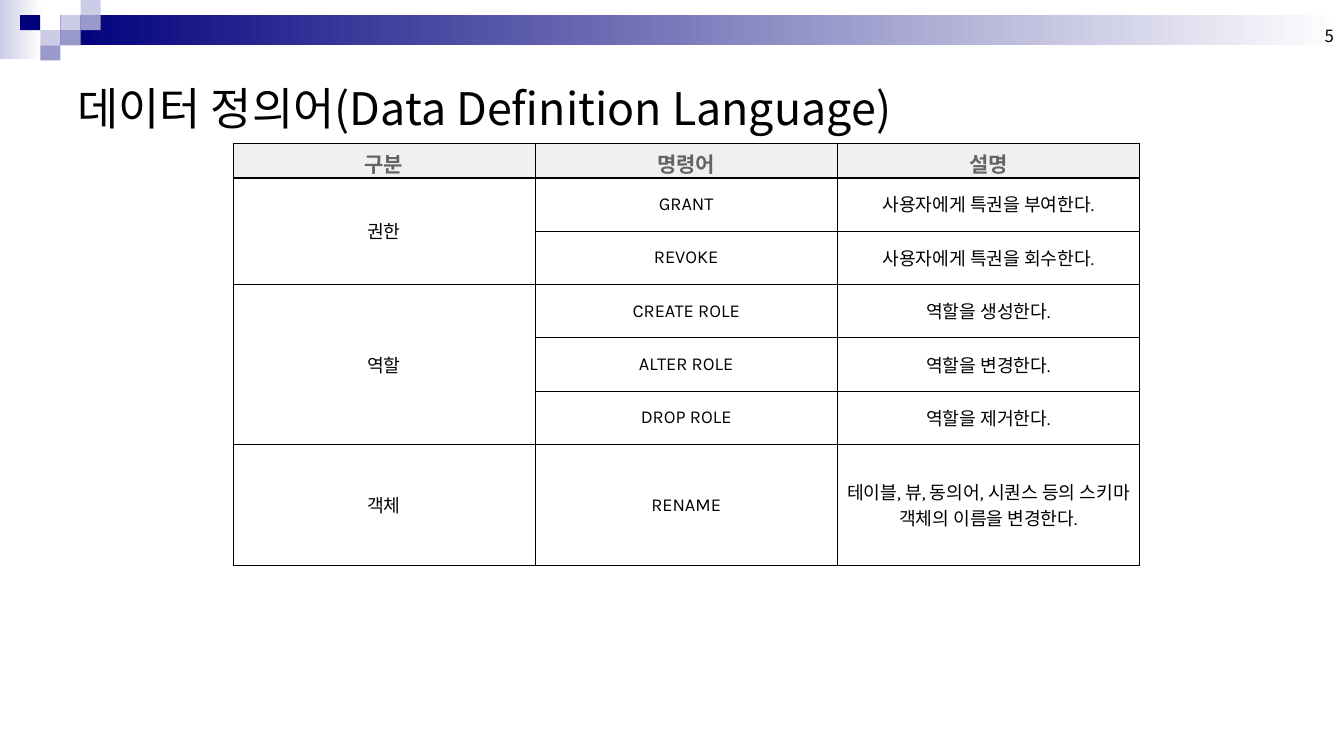
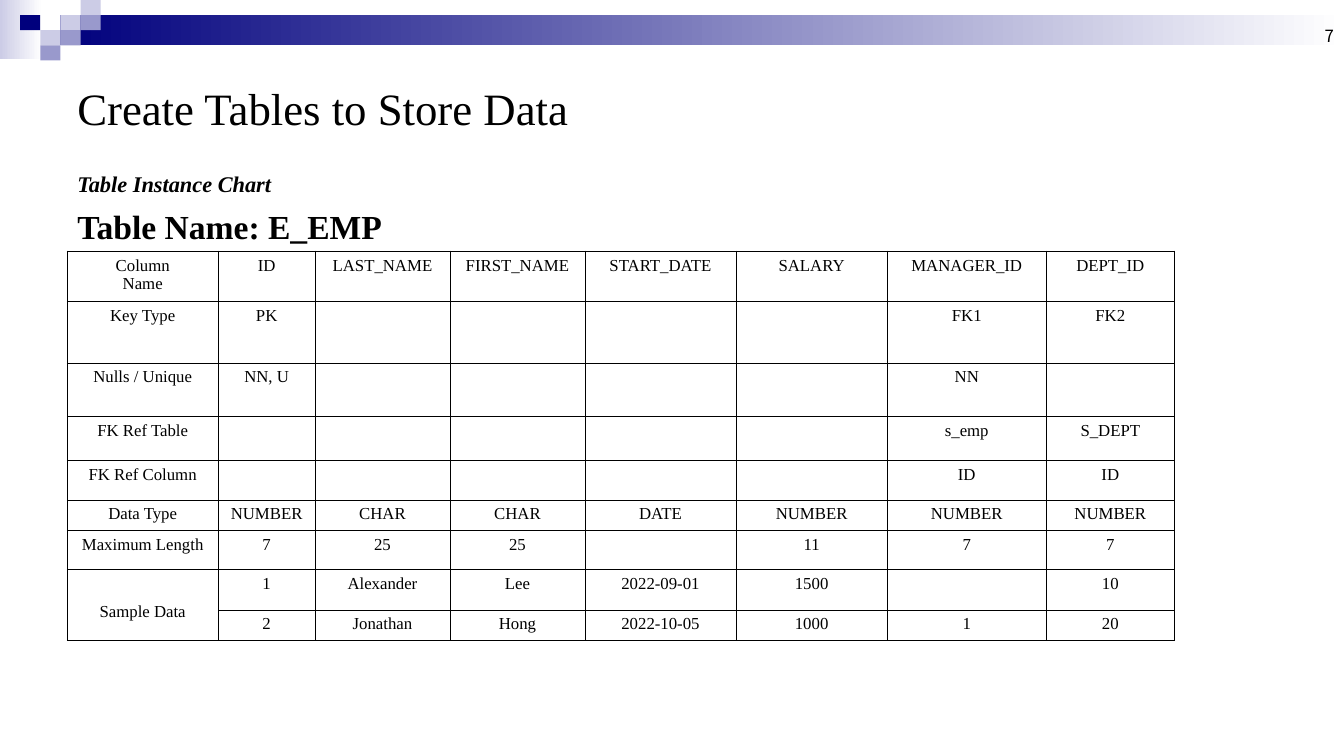
"""Build two slides on the SQL data definition language and a table instance chart."""
from dataclasses import dataclass

from lxml.etree import SubElement
from pptx import Presentation
from pptx.dml.color import RGBColor
from pptx.enum.shapes import MSO_SHAPE as Shape
from pptx.enum.text import MSO_ANCHOR as Anchor, MSO_AUTO_SIZE as AutoSize, PP_ALIGN as Align
from pptx.oxml.ns import qn
from pptx.util import Inches, Pt


@dataclass(frozen=True)
class Theme:
    navy: str = "00007D"
    violet: str = "9999CC"
    lilac: str = "CCCCE6"
    white: str = "FFFFFF"
    ink: str = "000000"
    header_ink: str = "646464"
    header_fill: str = "F0F0F0"
    hangul: str = "Noto Sans CJK KR"
    sans: str = "Karla"
    serif: str = "Times New Roman"
    title_size: int = 32
    name_size: int = 24
    caption_size: int = 16
    header_size: int = 15
    command_size: int = 13
    small_size: int = 12


theme = Theme()
WIDTH, HEIGHT = 13.34, 7.5
MARGIN = WIDTH / 20
TILE_W, TILE_H = WIDTH * 0.015, HEIGHT * 0.02


def style_text(paragraph, face, size, color=theme.ink, bold=False, italic=False):
    for run in paragraph.runs:
        font = run.font
        font.name, font.size, font.bold, font.italic = face, Pt(size), bold, italic
        font.color.rgb = RGBColor.from_string(color)
        SubElement(font._element, qn("a:ea"), typeface=theme.hangul)
    if not paragraph.runs:
        SubElement(paragraph._p, qn("a:endParaRPr"), sz=str(size * 100))


def add_grid(slide, left, top, columns, heights, rows, face, size, border,
             color=theme.ink, fill=None, bold=False, side=0.1, anchor=Anchor.TOP):
    frame = slide.shapes.add_table(len(rows), len(columns), Inches(left), Inches(top),
                                   Inches(sum(columns)), Inches(sum(heights)))
    grid = frame.table
    grid.first_row = grid.horz_banding = False
    for column, width in zip(grid.columns, columns):
        column.width = Inches(width)
    for row, height in zip(grid.rows, heights):
        row.height = Inches(height)
    for r, texts in enumerate(rows):
        for c, text in enumerate(texts):
            cell = grid.cell(r, c)
            cell.text_frame.text = text
            cell.vertical_anchor = anchor
            cell.margin_left = cell.margin_right = Inches(side)
            for paragraph in cell.text_frame.paragraphs:
                paragraph.alignment = Align.CENTER
                style_text(paragraph, face, size, color, bold)
            for edge in ("a:lnL", "a:lnR", "a:lnT", "a:lnB"):
                line = SubElement(cell._tc.get_or_add_tcPr(), qn(edge), w=str(Pt(border)))
                paint = SubElement(line, qn("a:solidFill"))
                SubElement(paint, qn("a:srgbClr"), val=theme.ink)
            if fill:
                cell.fill.solid()
                cell.fill.fore_color.rgb = RGBColor.from_string(fill)
            else:
                cell.fill.background()
    return grid


deck = Presentation()
deck.slide_width, deck.slide_height = Inches(WIDTH), Inches(HEIGHT)
master = deck.slide_master

master_title = master.placeholders[0]
master_title.left, master_title.top = Inches(MARGIN), Inches(HEIGHT / 15)
master_title.width, master_title.height = Inches(WIDTH - 2 * MARGIN), Inches(HEIGHT * 0.15)
master_title.text_frame.auto_size = AutoSize.NONE
title_level = master.element.find(".//" + qn("p:titleStyle") + "/" + qn("a:lvl1pPr"))
title_level.set("algn", "l")
title_level.find(qn("a:defRPr")).set("sz", str(theme.title_size * 100))

PAGES = [
    (5, "5", "데이터 정의어(Data Definition Language)", theme.hangul),
    (1, "7", "Create Tables to Store Data", theme.serif),
]
slides = []
for layout, number, heading, face in PAGES:
    slide = deck.slides.add_slide(deck.slide_layouts[layout])
    slide.shapes.title.text_frame.text = heading
    style_text(slide.shapes.title.text_frame.paragraphs[0], face, theme.title_size)
    folio_width = WIDTH * 7 / 30
    folio = slide.shapes.add_textbox(Inches(WIDTH - folio_width), 0,
                                     Inches(folio_width), Inches(HEIGHT / 15)).text_frame
    folio.word_wrap = True
    folio.vertical_anchor = Anchor.BOTTOM
    folio.text = number
    folio.paragraphs[0].alignment = Align.RIGHT
    style_text(folio.paragraphs[0], theme.hangul, theme.small_size)
    slides.append(slide)
commands, instance = slides

BAND = [
    (0, 0, 2.1, 3.9, theme.lilac, theme.white),
    (3, 1, WIDTH / TILE_W - 3, 2, theme.navy, theme.white),
    (3, 1, 1, 1, theme.lilac, None),
    (4, 0, 1, 1, theme.lilac, None),
    (4, 1, 1, 1, theme.violet, None),
    (2, 2, 1, 1, theme.lilac, None),
    (1, 1, 1, 1, theme.navy, None),
    (3, 2, 1, 1, theme.violet, None),
    (2, 3, 1, 1, theme.violet, None),
]
for order, (column, row, across, down, start, finish) in enumerate(BAND):
    tile = commands.shapes.add_shape(
        Shape.RECTANGLE, Inches(column * TILE_W), Inches(row * TILE_H),
        Inches(across * TILE_W), Inches(down * TILE_H))
    tile.shadow.inherit = False
    tile.line.fill.background()
    if finish:
        tile.fill.gradient()
        tile.fill.gradient_angle = 0
        for stop, tone, position in zip(tile.fill.gradient_stops, (start, finish), (0, 1)):
            stop.color.rgb = RGBColor.from_string(tone)
            stop.position = position
    else:
        tile.fill.solid()
        tile.fill.fore_color.rgb = RGBColor.from_string(start)
    master.element.cSld.spTree.insert(2 + order, tile.element)

COMMAND_LEFT, COMMAND_TOP, HEADER_HEIGHT = 2.31, 1.42, 0.34
COMMAND_COLUMNS = [3] * 3
add_grid(commands, COMMAND_LEFT, COMMAND_TOP, COMMAND_COLUMNS, [HEADER_HEIGHT],
         [("구분", "명령어", "설명")], theme.sans, theme.header_size, 0.34,
         theme.header_ink, theme.header_fill, True, 0.04, Anchor.MIDDLE)
COMMAND_ROWS = [
    ("권한", "GRANT", "사용자에게 특권을 부여한다."),
    ("", "REVOKE", "사용자에게 특권을 회수한다."),
    ("역할", "CREATE ROLE", "역할을 생성한다."),
    ("", "ALTER ROLE", "역할을 변경한다."),
    ("", "DROP ROLE", "역할을 제거한다."),
    ("객체", "RENAME", "테이블, 뷰, 동의어, 시퀀스 등의 스키마 객체의 이름을 변경한다."),
]
command_grid = add_grid(commands, COMMAND_LEFT, COMMAND_TOP + HEADER_HEIGHT, COMMAND_COLUMNS,
                        [0.53] * 5 + [1.2], COMMAND_ROWS, theme.sans, theme.command_size,
                        0.34, side=0.04, anchor=Anchor.MIDDLE)
for first, last in ((0, 1), (2, 4)):
    command_grid.cell(first, 0).merge(command_grid.cell(last, 0))

caption = instance.placeholders[1]
caption.left, caption.top = Inches(MARGIN), Inches(1.64)
caption.width, caption.height = Inches(WIDTH * 2 / 3), Inches(0.86)
caption.text_frame.auto_size = AutoSize.NONE
caption.text_frame.text = "Table Instance Chart\nTable Name: E_EMP"
CAPTION_STYLES = [(0, theme.caption_size, True), (6, theme.name_size, False)]
for paragraph, (gap, size, italic) in zip(caption.text_frame.paragraphs, CAPTION_STYLES):
    properties = paragraph._p.get_or_add_pPr()
    properties.set("marL", str(Inches(0.38)))
    properties.set("indent", str(Inches(-0.38)))
    SubElement(properties, qn("a:buNone"))
    paragraph.space_before = Pt(gap)
    style_text(paragraph, theme.serif, size, bold=True, italic=italic)

INSTANCE_ROWS = [
    ("Column\nName", "ID", "LAST_NAME", "FIRST_NAME", "START_DATE", "SALARY", "MANAGER_ID", "DEPT_ID"),
    ("Key Type", "PK", "", "", "", "", "FK1", "FK2"),
    ("Nulls / Unique", "NN, U", "", "", "", "", "NN", ""),
    ("FK Ref Table", "", "", "", "", "", "s_emp", "S_DEPT"),
    ("FK Ref Column", "", "", "", "", "", "ID", "ID"),
    ("Data Type", "NUMBER", "CHAR", "CHAR", "DATE", "NUMBER", "NUMBER", "NUMBER"),
    ("Maximum Length", "7", "25", "25", "", "11", "7", "7"),
    ("Sample Data", "1", "Alexander", "Lee", "2022-09-01", "1500", "", "10"),
    ("", "2", "Jonathan", "Hong", "2022-10-05", "1000", "1", "20"),
]
instance_grid = add_grid(instance, MARGIN, 2.49,
                         [1.5, 0.96, 1.34, 1.34, 1.5, 1.5, 1.58, 1.27],
                         [0.5, 0.61, 0.53, 0.44, 0.39, 0.3, 0.39, 0.4, 0.3],
                         INSTANCE_ROWS, theme.serif, theme.small_size, 0.45)
sample = instance_grid.cell(7, 0)
sample.merge(instance_grid.cell(8, 0))
sample.text_frame.paragraphs[0].line_spacing = 2.5

deck.save("out.pptx")
